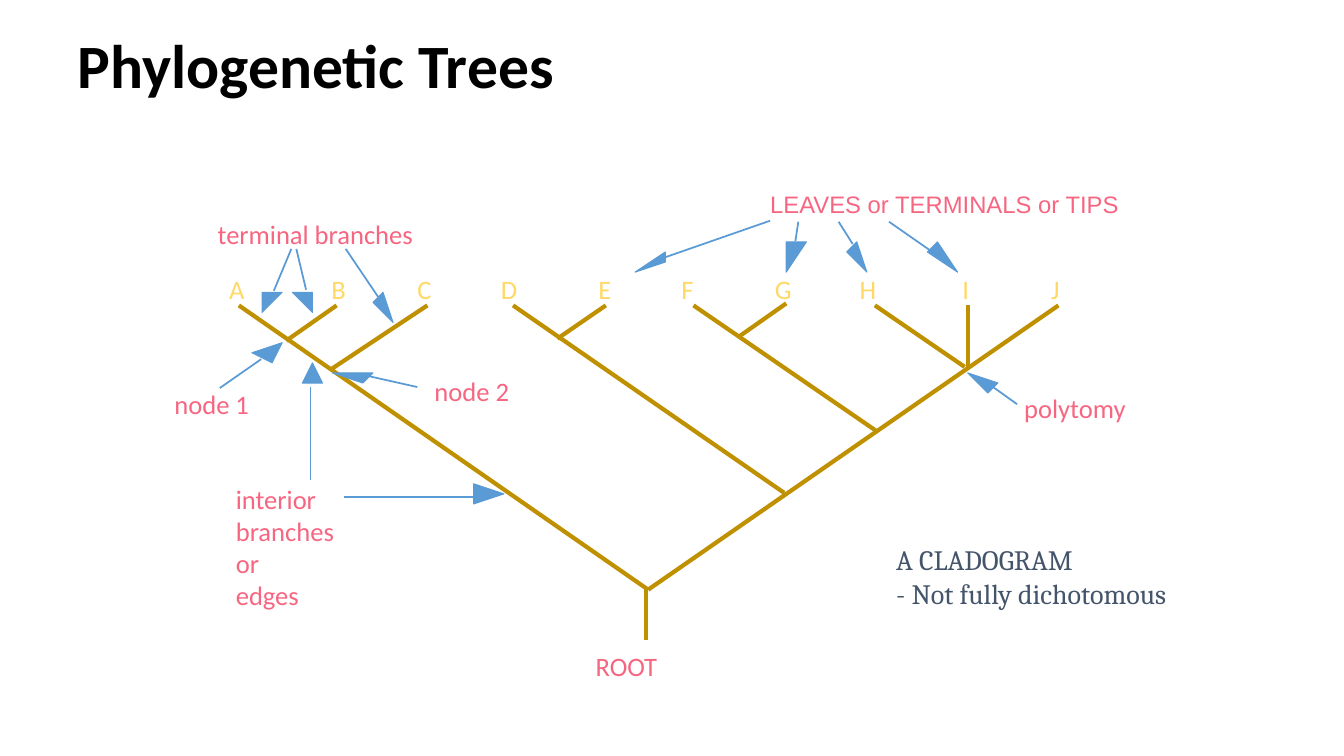
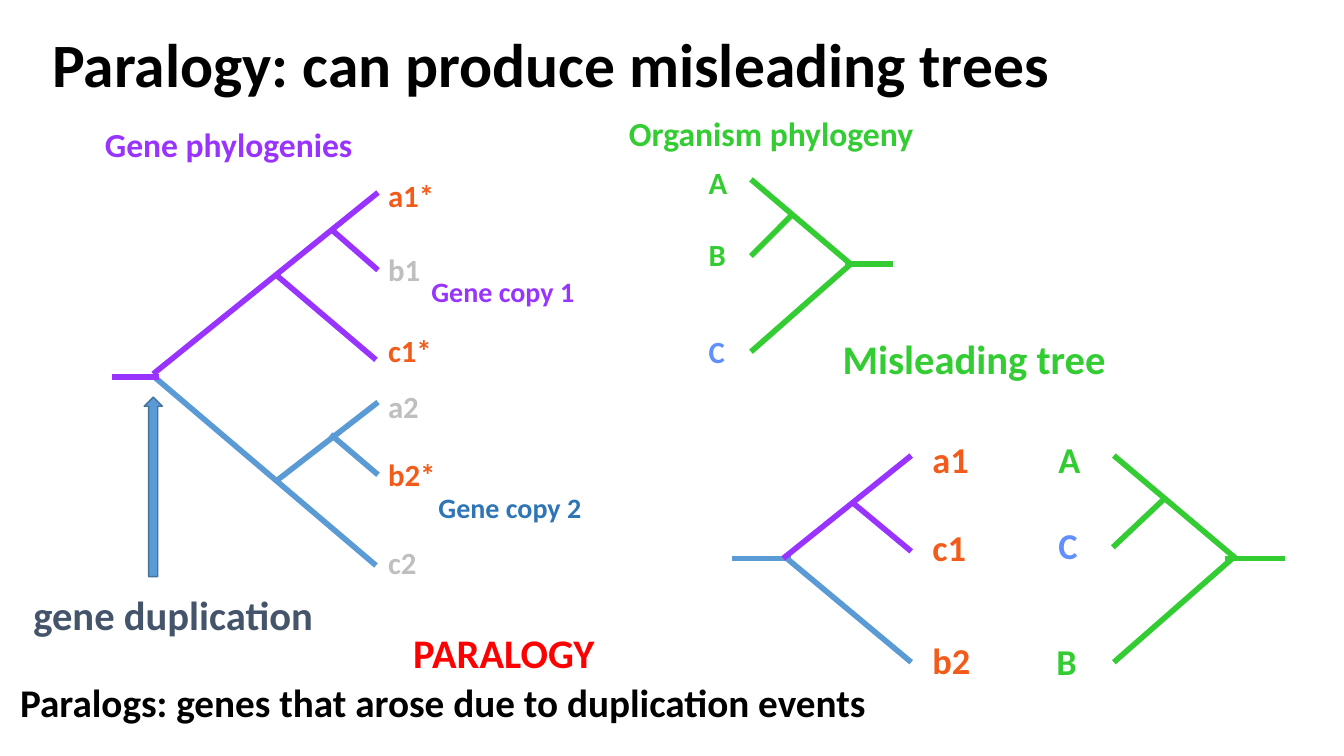
"""Build two slides on phylogenetic trees, placed on a grid of tenth-inch cells."""
from math import hypot

from lxml import etree
from pptx import Presentation
from pptx.dml.color import RGBColor
from pptx.enum.shapes import MSO_CONNECTOR, MSO_SHAPE
from pptx.enum.text import MSO_ANCHOR, PP_ALIGN
from pptx.oxml.ns import qn
from pptx.util import Inches, Pt

STRAIGHT = MSO_CONNECTOR.STRAIGHT
UP_ARROW = MSO_SHAPE.UP_ARROW
MIDDLE = MSO_ANCHOR.MIDDLE
LEFT, CENTER = PP_ALIGN.LEFT, PP_ALIGN.CENTER

BLACK = RGBColor(0x00, 0x00, 0x00)
SLATE = RGBColor(0x44, 0x54, 0x6A)
GOLD = RGBColor(0xBF, 0x90, 0x00)
YELLOW = RGBColor(0xFF, 0xD9, 0x66)
PINK = RGBColor(0xF7, 0x66, 0x81)
BLUE = RGBColor(0x5B, 0x9B, 0xD5)
DARK_BLUE = RGBColor(0x2E, 0x75, 0xB6)
EDGE_BLUE = RGBColor(0x43, 0x73, 0x9E)
PERIWINKLE = RGBColor(0x61, 0x8F, 0xFD)
PURPLE = RGBColor(0x99, 0x33, 0xFF)
GREEN = RGBColor(0x33, 0xCC, 0x33)
ORANGE = RGBColor(0xF3, 0x5B, 0x1B)
GRAY = RGBColor(0xBF, 0xBF, 0xBF)
RED = RGBColor(0xFF, 0x00, 0x00)

CELL = Inches(0.1)
COLUMNS, ROWS = 133.33, 75
ROWS_PER_POINT = 0.17
HEAD_LENGTH, HEAD_HALF_WIDTH, HEAD_STRETCH = 2.7, 0.8, 1.2


def add_label(slide, text, left, top, width, size, color, bold=False, font="Calibri", align=LEFT):
    height = size * ROWS_PER_POINT * (text.count("\n") + 1)
    box = slide.shapes.add_textbox(*(round(cells * CELL) for cells in (left, top, width, height)))
    frame = box.text_frame
    frame.margin_left = frame.margin_right = frame.margin_top = frame.margin_bottom = 0
    frame.vertical_anchor = MIDDLE
    frame.word_wrap = False
    frame.text = text
    for paragraph in frame.paragraphs:
        paragraph.alignment = align
        for run in paragraph.runs:
            run.font.name = font
            run.font.size = Pt(size)
            run.font.bold = bold
            run.font.color.rgb = color
    return box


def add_line(slide, ends, color, weight):
    connector = slide.shapes.add_connector(STRAIGHT, *(round(cells * CELL) for cells in ends))
    connector.line.color.rgb = color
    connector.line.width = Pt(weight)
    etree.SubElement(connector._element.spPr, qn("a:effectLst"))


presentation = Presentation()
presentation.slide_width = round(COLUMNS * CELL)
presentation.slide_height = ROWS * CELL
blank_layout = presentation.slide_layouts[6]

slides = []
for title, left, top, width in (
    ("Phylogenetic Trees", 7.7, 3.1, 118),
    ("Paralogy: can produce misleading trees", 5.2, 3, 122),
):
    slide = presentation.slides.add_slide(blank_layout)
    title_box = add_label(slide, title, left, top, width, 44, BLACK, bold=True)
    title_box.text_frame.word_wrap = True
    title_box.text_frame.paragraphs[0].line_spacing = 0.9
    slides.append(slide)
cladogram_slide, paralogy_slide = slides

for branch in (
    (23.7, 30.3, 64.3, 58.5),
    (64.3, 58.5, 105, 30.3),
    (68.8, 30.3, 87, 42.8),
    (78, 30.1, 73.3, 33.4),
    (86.8, 30.3, 95.7, 36.4),
    (96, 36.4, 96, 30.3),
    (50.9, 30.3, 77.8, 48.9),
    (55.3, 33.6, 60.1, 30.3),
    (28.4, 33.8, 33.4, 30.3),
    (32.9, 36.6, 42.4, 30.3),
    (64.1, 58.3, 64.1, 63.5),
):
    add_line(cladogram_slide, branch, GOLD, 3)

tip_centers = (23.5, 33.6, 42.1, 50.5, 60, 68.2, 77.7, 86.1, 95.8, 104.7)
for letter, center in zip("ABCDEFGHIJ", tip_centers):
    add_label(cladogram_slide, letter, center - 1.5, 27, 3, 19, YELLOW, align=CENTER)

for text, left, top, width in (
    ("ROOT", 59.1, 64.4, 6.3),
    ("polytomy", 101.6, 38.9, 10.4),
    ("terminal branches", 21.6, 21.6, 19.8),
    ("interior\nbranches\nor\nedges", 23.4, 47.8, 10),
    ("node 1", 17.3, 38.5, 7.5),
    ("node 2", 43.1, 37.2, 7.5),
):
    add_label(cladogram_slide, text, left, top, width, 19, PINK)
add_label(cladogram_slide, "LEAVES or TERMINALS or TIPS", 76.4, 18.8, 34.9, 17, PINK, font="Arial")
add_label(cladogram_slide, "A CLADOGRAM\n- Not fully dichotomous", 88.9, 53.8, 27.2, 20, SLATE, font="Cambria")

for start_x, start_y, tip_x, tip_y in (
    (34.1, 49.3, 50.2, 49.3),
    (30.8, 47.6, 30.8, 35.7),
    (21.8, 38.5, 28.4, 33.9),
    (28.9, 24.7, 26.1, 31.4),
    (29.4, 24.7, 31, 31.4),
    (34.3, 24.7, 39.1, 31.8),
    (100.9, 40.1, 96, 36.6),
    (41.4, 38.4, 33.4, 36.6),
    (76.4, 21.9, 62.9, 26.6),
    (79.2, 22, 78.5, 26.6),
    (83.2, 22, 86.1, 26.6),
    (88.2, 22, 94.8, 26.6),
):
    across, down = (tip_x - start_x) / HEAD_STRETCH, tip_y - start_y
    length = hypot(across, down)
    across, down = across / length, down / length
    base_x = tip_x - HEAD_LENGTH * HEAD_STRETCH * across
    base_y = tip_y - HEAD_LENGTH * down
    side_x = HEAD_HALF_WIDTH * HEAD_STRETCH * down
    side_y = HEAD_HALF_WIDTH * across
    add_line(cladogram_slide, (start_x, start_y, base_x, base_y), BLUE, 1.25)
    builder = cladogram_slide.shapes.build_freeform(tip_x, tip_y, scale=CELL)
    builder.add_line_segments(
        [(base_x - side_x, base_y + side_y), (base_x + side_x, base_y - side_y)], close=True
    )
    arrowhead = builder.convert_to_shape()
    arrowhead.shadow.inherit = False
    arrowhead.fill.solid()
    arrowhead.fill.fore_color.rgb = BLUE
    arrowhead.line.color.rgb = BLUE
    arrowhead.line.width = Pt(0.75)

for color, branches in (
    (BLUE, (
        (37.5, 39.9, 27.3, 47.8),
        (37.3, 56.1, 15.2, 37.3),
        (37.5, 47.1, 32.8, 43.1),
        (90.4, 65.7, 77.7, 55.1),
        (78.5, 55.4, 72.6, 55.4),
    )),
    (PURPLE, (
        (37.5, 19.1, 15.2, 37.1),
        (37.3, 35.7, 27.3, 27.2),
        (37.5, 26.8, 32.8, 22.7),
        (15.8, 37.4, 11.1, 37.4),
        (90.4, 45.2, 77.7, 55.4),
        (90.4, 54.7, 84.5, 49.8),
    )),
    (GREEN, (
        (74.5, 17.8, 84.5, 26.3),
        (74.5, 34.9, 84.5, 26.1),
        (74.5, 25.4, 78.7, 21.2),
        (88.6, 26.2, 83.8, 26.2),
        (110.5, 45.2, 122.6, 55.4),
        (110.5, 65.7, 122.6, 55.1),
        (110.4, 54.3, 115.7, 49.3),
        (127.5, 55.4, 121.5, 55.4),
    )),
):
    for branch in branches:
        add_line(paralogy_slide, branch, color, 4)

for text, left, top, width, size, color in (
    ("Gene phylogenies", 10.4, 12.3, 24.9, 24, PURPLE),
    ("Organism phylogeny", 62.4, 11.2, 28.7, 24, GREEN),
    ("gene duplication", 3.3, 58.5, 28.2, 29, SLATE),
    ("Misleading tree", 83.6, 33.1, 26.4, 29, GREEN),
    ("PARALOGY", 41, 62.2, 18.7, 29, RED),
    ("Gene copy 1", 42.8, 27.2, 14.3, 20, PURPLE),
    ("Gene copy 2", 43.5, 48.6, 14.3, 20, DARK_BLUE),
    ("Paralogs: genes that arose due to duplication events", 2, 67.2, 84, 28, BLACK),
    ("a1*", 38.5, 17.5, 4.6, 22, ORANGE),
    ("b1", 38.5, 24.8, 3.2, 22, GRAY),
    ("c1*", 38.5, 32.9, 4.4, 22, ORANGE),
    ("a2", 38.5, 38.4, 3.1, 22, GRAY),
    ("b2*", 38.5, 45.2, 4.8, 22, ORANGE),
    ("c2", 38.5, 53.9, 2.9, 22, GRAY),
    ("A", 70.3, 16.2, 1.9, 22, GREEN),
    ("B", 70.3, 23.3, 1.7, 22, GREEN),
    ("C", 70.3, 33, 1.6, 22, PERIWINKLE),
    ("a1", 92.5, 43.3, 3.7, 26, ORANGE),
    ("c1", 92.5, 52, 3.4, 26, ORANGE),
    ("b2", 92.5, 63.3, 3.9, 26, ORANGE),
    ("A", 105, 43.3, 2.3, 26, GREEN),
    ("C", 105, 51.8, 2, 26, PERIWINKLE),
    ("B", 104.8, 63.4, 2.1, 26, GREEN),
):
    add_label(paralogy_slide, text, left, top, width, size, color, bold=True)

duplication_arrow = paralogy_slide.shapes.add_shape(
    UP_ARROW, *(round(cells * CELL) for cells in (14.3, 39.4, 1.8, 17.8))
)
duplication_arrow.shadow.inherit = False
duplication_arrow.fill.solid()
duplication_arrow.fill.fore_color.rgb = BLUE
duplication_arrow.line.color.rgb = EDGE_BLUE
duplication_arrow.line.width = Pt(1)

presentation.save("out.pptx")
